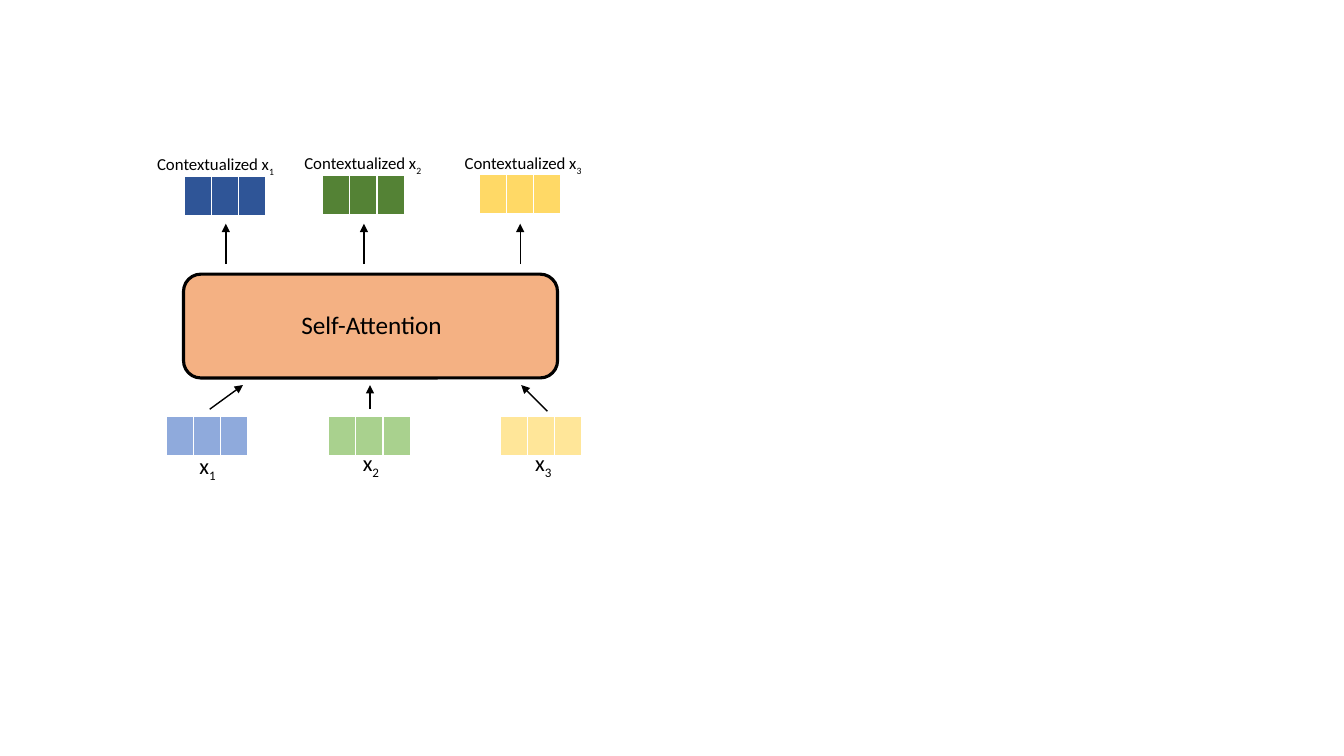
from lxml import etree
from pptx import Presentation
from pptx import util as u
from pptx.dml.color import RGBColor
from pptx.enum import shapes
from pptx.oxml.ns import qn

PX = 9144  # 100 px to the inch
COLORS = {
    "ink": "000000", "border": "FFFFFF", "attention": "F4B183",
    "x1": "8FAADC", "x2": "A9D18E", "x3": "FFE699",
    "context1": "2F5597", "context2": "548235", "context3": "FFD966",
}
CELL, CELL_COUNT, VECTOR_HEIGHT = 27, 3, 40
BORDERS = {"a:lnL": 1, "a:lnR": 1, "a:lnT": 1, "a:lnB": 3}

deck = Presentation()
deck.slide_width, deck.slide_height = 1333 * PX, 750 * PX
page = deck.slides.add_slide(deck.slide_layouts[6])


def add_vector(left, top, color):
    """Draw a token vector as a one-row table of equal cells."""
    frame = page.shapes.add_table(1, CELL_COUNT, left * PX, top * PX,
                                  CELL * CELL_COUNT * PX, VECTOR_HEIGHT * PX)
    table = frame.table
    table.first_row = table.horz_banding = False
    for column in table.columns:
        column.width = CELL * PX
    for cell in table.iter_cells():
        cell.fill.solid()
        cell.fill.fore_color.rgb = RGBColor.from_string(COLORS[color])
        properties = cell._tc.get_or_add_tcPr()
        for index, (side, width) in enumerate(BORDERS.items()):
            line = etree.Element(qn(side), w=str(u.Pt(width)))
            fill = etree.SubElement(line, qn("a:solidFill"))
            etree.SubElement(fill, qn("a:srgbClr"), val=COLORS["border"])
            properties.insert(index, line)


def add_label(left, top, width, height, size, word, subscript=""):
    box = page.shapes.add_textbox(left * PX, top * PX, width * PX, height * PX)
    box.text_frame.word_wrap = True
    para = box.text_frame.paragraphs[0]
    for part in filter(None, (word, subscript)):
        span = para.add_run()
        span.text = part
        span.font.name = "Calibri"
        span.font.size = u.Pt(size)
        span.font.color.rgb = RGBColor.from_string(COLORS["ink"])
        if part == subscript:
            span.font._element.set("baseline", "-25000")


# Self-attention block
block = page.shapes.add_shape(shapes.MSO_SHAPE.ROUNDED_RECTANGLE,
                              182 * PX, 272 * PX, 371 * PX, 103 * PX)
block.shadow.inherit = False
block.fill.solid()
block.fill.fore_color.rgb = RGBColor.from_string(COLORS["attention"])
block.line.color.rgb = RGBColor.from_string(COLORS["ink"])
block.line.width = u.Pt(2.25)
add_label(289, 302, 301, 40, 18, "Self-Attention")

# Input vectors: vector left, label left, label top
inputs = [(165, 188, 444), (326, 350, 441), (496, 521, 441)]
for number, (left, label_left, label_top) in enumerate(inputs, 1):
    add_vector(left, 413, f"x{number}")
    add_label(label_left, label_top, 99, 37, 16, "x", str(number))

# Contextualized vectors: vector left and top, label left and top
outputs = [(183, 175, 146, 148), (320, 174, 292, 147), (475, 173, 451, 147)]
for number, (left, top, label_left, label_top) in enumerate(outputs, 1):
    add_vector(left, top, f"context{number}")
    add_label(label_left, label_top, 183, 30, 12, "Contextualized x", str(number))

# Arrows into and out of the block
arrows = [(208, 406, 241, 382), (367, 406, 367, 382), (543, 408, 517, 382)]
arrows += [(x, 262, x, 222) for x in (224, 361, 516)]
for ends in arrows:
    arrow = page.shapes.add_connector(shapes.MSO_CONNECTOR.STRAIGHT,
                                      *(end * PX for end in ends))
    arrow.line.color.rgb = RGBColor.from_string(COLORS["ink"])
    arrow.line.width = u.Pt(1)
    etree.SubElement(arrow.line._get_or_add_ln(), qn("a:tailEnd"), type="triangle")
    etree.SubElement(arrow._element.spPr, qn("a:effectLst"))

deck.save("out.pptx")
